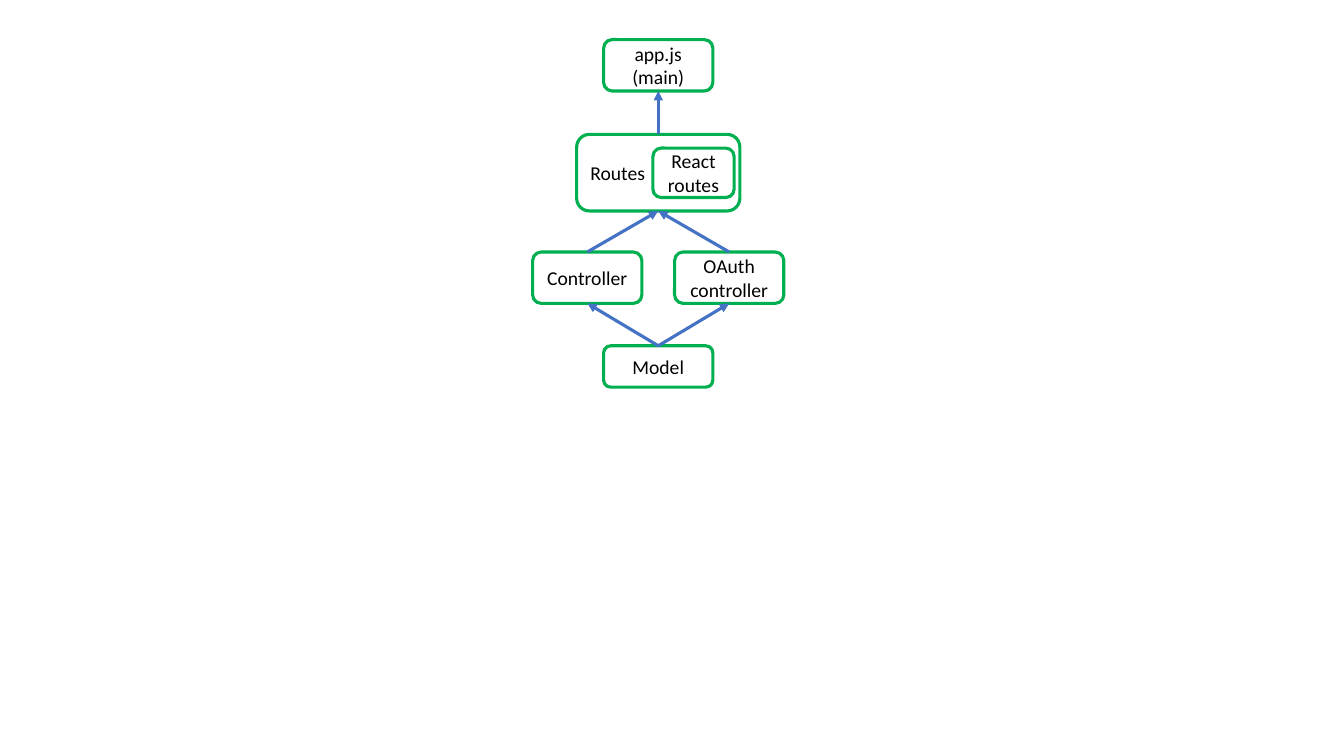
import pptx
import pptx.util
import pptx.dml.color
import pptx.enum.shapes
import pptx.enum.text
import pptx.oxml.ns
import lxml.etree

Pt = pptx.util.Pt
COLORS = {"box": "00B050", "arrow": "4472C4", "text": "000000"}
MID = 470.2
SIDE = 50.7
WIDTH = 78
HEIGHT = 36.7


def color(name):
    return pptx.dml.color.RGBColor.from_string(COLORS[name])


def add_box(slide, text, mid, top, width=WIDTH, height=HEIGHT, align="CENTER"):
    box = slide.shapes.add_shape(
        pptx.enum.shapes.MSO_SHAPE.ROUNDED_RECTANGLE,
        Pt(mid - width / 2), Pt(top), Pt(width), Pt(height))
    box.shadow.inherit = False
    box.fill.background()
    box.line.color.rgb = color("box")
    box.line.width = Pt(2.25)
    frame = box.text_frame
    frame.text = text
    frame.word_wrap = True
    frame.vertical_anchor = pptx.enum.text.MSO_ANCHOR.MIDDLE
    for line in frame.paragraphs:
        line.alignment = pptx.enum.text.PP_ALIGN[align]
        for run in line.runs:
            run.font.name = "Calibri"
            run.font.size = Pt(14)
            run.font.color.rgb = color("text")
    return box


def add_arrow(slide, lower, upper):
    arrow = slide.shapes.add_connector(
        pptx.enum.shapes.MSO_CONNECTOR.STRAIGHT, 0, 0, 0, 0)
    arrow.begin_connect(lower, 0)
    arrow.end_connect(upper, 2)
    arrow.line.color.rgb = color("arrow")
    arrow.line.width = Pt(2.25)
    qn = pptx.oxml.ns.qn
    props = arrow.element.spPr
    tail = lxml.etree.SubElement(props.find(qn("a:ln")), qn("a:tailEnd"))
    tail.set("type", "triangle")
    lxml.etree.SubElement(props, qn("a:effectLst"))


def main():
    deck = pptx.Presentation()
    deck.slide_width = Pt(960)
    deck.slide_height = Pt(540)
    slide = deck.slides.add_slide(deck.slide_layouts[6])

    app = add_box(slide, "app.js\n(main)", MID, 28.3)
    routes = add_box(slide, "Routes", MID, 96, 116.6, 54.7, "LEFT")
    plain = add_box(slide, "Controller", MID - SIDE, 180)
    oauth = add_box(slide, "OAuth controller", MID + SIDE, 180)
    model = add_box(slide, "Model", MID, 247, height=29.5)
    add_box(slide, "React routes", 495.4, 105.8, 58, 35.3)

    for part in (plain, oauth):
        add_arrow(slide, model, part)
        add_arrow(slide, part, routes)
    add_arrow(slide, routes, app)

    deck.save("out.pptx")


if __name__ == "__main__":
    main()
